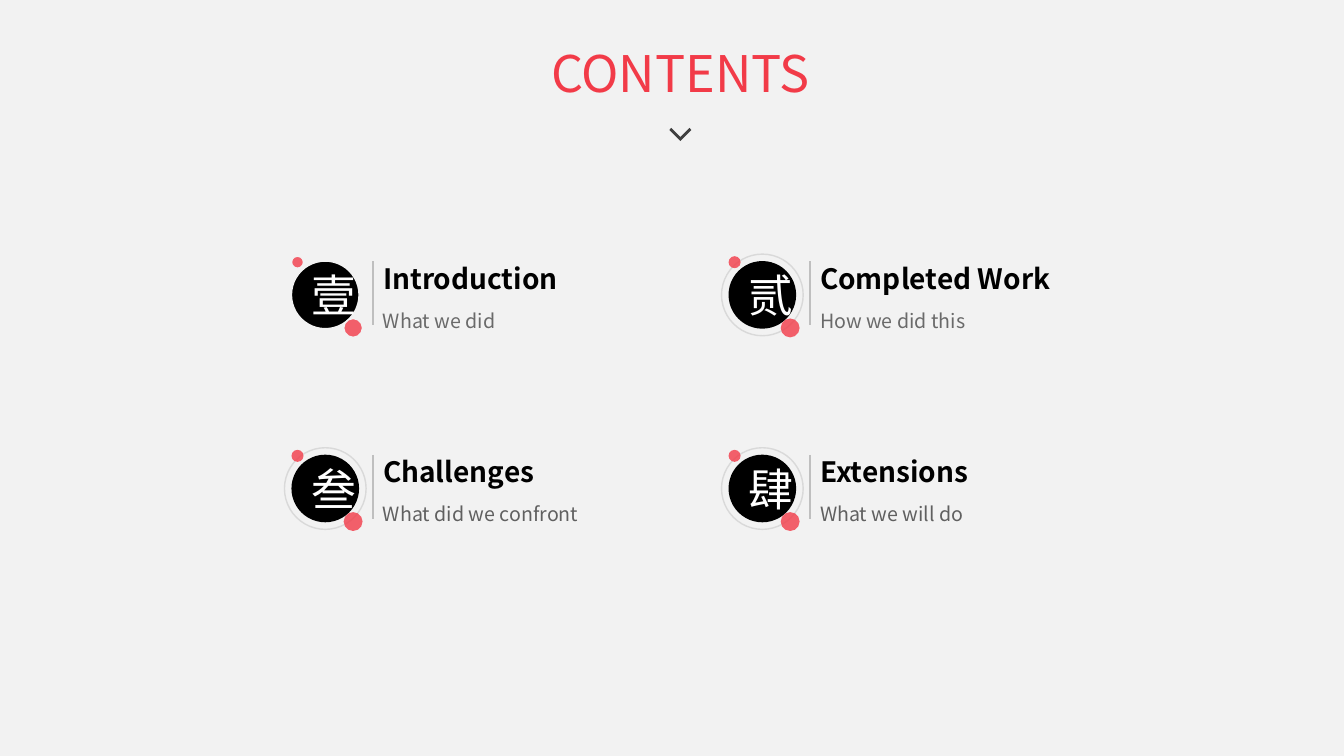
from lxml import etree
from pptx import Presentation
from pptx import util as u
from pptx.dml.color import RGBColor
from pptx.enum import shapes, text
from pptx.oxml import ns

BACKGROUND = RGBColor(0xF2, 0xF2, 0xF2)
RED = RGBColor(0xF2, 0x3B, 0x48)
BLACK = RGBColor(0x00, 0x00, 0x00)
WHITE = RGBColor(0xFF, 0xFF, 0xFF)
RING_GRAY = RGBColor(0xD9, 0xD9, 0xD9)
DIVIDER_GRAY = RGBColor(0xBF, 0xBF, 0xBF)
CHEVRON_GRAY = RGBColor(0x3F, 0x3F, 0x3F)
CAPTION_GRAY = RGBColor(0x6A, 0x6A, 0x6A)
CAPTION_DARK = RGBColor(0x60, 0x60, 0x60)

TEXT_FONT = "Noto Sans CJK SC"
NUMERAL_FONT = "Noto Sans CJK JP"


class ContentsSlide:
    """Holds the text styles and the current slide; lengths are in points."""

    styles = {
        "title": {"name": TEXT_FONT, "size": u.Pt(36), "bold": False},
        "heading": {"name": TEXT_FONT, "size": u.Pt(20), "bold": True},
        "caption": {"name": TEXT_FONT, "size": u.Pt(14), "bold": False},
        "numeral": {"name": NUMERAL_FONT, "size": u.Pt(32), "bold": False},
    }

    def __init__(self, presentation):
        self.slide = presentation.slides.add_slide(presentation.slide_layouts[5])
        self.slide.background.fill.solid()
        self.slide.background.fill.fore_color.rgb = BACKGROUND

    def set_text(self, shape, words, style, color, align, **frame_format):
        frame = shape.text_frame
        frame_format = {"word_wrap": True, **frame_format}
        for name, value in frame_format.items():
            setattr(frame, name, value)
        paragraph = frame.paragraphs[0]
        paragraph.alignment = align
        run = paragraph.add_run()
        run.text = words
        for name, value in self.styles[style].items():
            setattr(run.font, name, value)
        run.font.color.rgb = color
        # East Asian glyphs take the same typeface as Latin ones
        latin = run.font._element.find(ns.qn("a:latin"))
        east_asian = etree.Element(ns.qn("a:ea"), typeface=run.font.name)
        latin.addnext(east_asian)

    def title(self, words, left, top, width, height):
        shape = self.slide.shapes.title
        box = {"left": left, "top": top, "width": width, "height": height}
        for name, value in box.items():
            setattr(shape, name, u.Pt(value))
        self.set_text(shape, words, "title", RED, text.PP_ALIGN.CENTER,
                      vertical_anchor=text.MSO_ANCHOR.TOP,
                      auto_size=text.MSO_AUTO_SIZE.SHAPE_TO_FIT_TEXT)

    def label(self, group, words, style, color, left, top, width, height):
        shape = group.shapes.add_textbox(*map(u.Pt, (left, top, width, height)))
        self.set_text(shape, words, style, color, text.PP_ALIGN.LEFT,
                      auto_size=text.MSO_AUTO_SIZE.SHAPE_TO_FIT_TEXT)

    def circle(self, group, left, top, size, fill=None, outline=None, opacity=100):
        shape = group.shapes.add_shape(
            shapes.MSO_SHAPE.OVAL, *map(u.Pt, (left, top, size, size)))
        shape.shadow.inherit = False
        if fill is None:
            shape.fill.background()
        else:
            shape.fill.solid()
            shape.fill.fore_color.rgb = fill
        if opacity < 100:
            color = shape._element.spPr.find(".//" + ns.qn("a:srgbClr"))
            etree.SubElement(color, ns.qn("a:alpha"), val=str(opacity * 1000))
        if outline is None:
            shape.line.fill.background()
        else:
            shape.line.color.rgb = outline
            shape.line.width = u.Pt(1)
        return shape

    def divider(self, group, x, top, bottom):
        line = group.shapes.add_connector(
            shapes.MSO_CONNECTOR.STRAIGHT, *map(u.Pt, (x, top, x, bottom)))
        line.line.color.rgb = DIVIDER_GRAY
        line.line.width = u.Pt(1)
        etree.SubElement(line._element.spPr, ns.qn("a:effectLst"))

    def chevron(self, center, top):
        offsets = [(6.5, 0), (7.9, 1.5), (0, 9.4), (-7.9, 1.5), (-6.5, 0), (0, 6.5)]
        points = [(u.Pt(center + x), u.Pt(top + y)) for x, y in offsets]
        builder = self.slide.shapes.build_freeform(*points[0])
        builder.add_line_segments(points[1:], close=True)
        shape = builder.convert_to_shape()
        shape.shadow.inherit = False
        shape.fill.solid()
        shape.fill.fore_color.rgb = CHEVRON_GRAY
        shape.line.fill.background()

    def chapter(self, left, top, numeral, heading, caption, caption_color,
                heading_width=178, ring=RING_GRAY, outline=None):
        group = self.slide.shapes.add_group_shape()
        # Numeral medallion with its ring and two dots
        medallion = self.circle(group, left + 5, top + 5, 48.3, BLACK, outline)
        self.set_text(medallion, numeral, "numeral", WHITE, text.PP_ALIGN.CENTER,
                      vertical_anchor=text.MSO_ANCHOR.MIDDLE)
        self.circle(group, left, top, 58.3, outline=ring)
        self.circle(group, left + 42.3, top + 46, 13.5, RED, outline, opacity=80)
        self.circle(group, left + 5, top + 1.5, 8.6, RED, outline, opacity=80)
        # Heading and caption beside the divider
        text_left = left + 63.3
        self.label(group, heading, "heading", BLACK,
                   text_left, top + 1.5, heading_width, 31.7)
        self.label(group, caption, "caption", caption_color,
                   text_left, top + 35.3, 197, 24.5)
        self.divider(group, text_left, top + 5.2, top + 51)


def main():
    presentation = Presentation()
    presentation.slide_width = u.Pt(960)
    presentation.slide_height = u.Pt(540)
    contents = ContentsSlide(presentation)

    # Header
    contents.title("CONTENTS", 377.3, 26.6, 217.4, 51)
    contents.chevron(486, 91.4)

    # Chapters in a two by two grid
    chapters = [
        ("壹", "Introduction", "What we did", CAPTION_GRAY,
         {"ring": BACKGROUND, "outline": BACKGROUND}),
        ("贰", "Completed Work", "How we did this", CAPTION_GRAY,
         {"heading_width": 221}),
        ("叁", "Challenges", "What did we confront", CAPTION_DARK, {}),
        ("肆", "Extensions", "What we will do", CAPTION_DARK, {}),
    ]
    for index, (*words, caption_color, options) in enumerate(chapters):
        row, column = divmod(index, 2)
        contents.chapter(203.2 + 312.2 * column, 181.5 + 138.3 * row,
                         *words, caption_color, **options)

    presentation.save("out.pptx")


if __name__ == "__main__":
    main()
